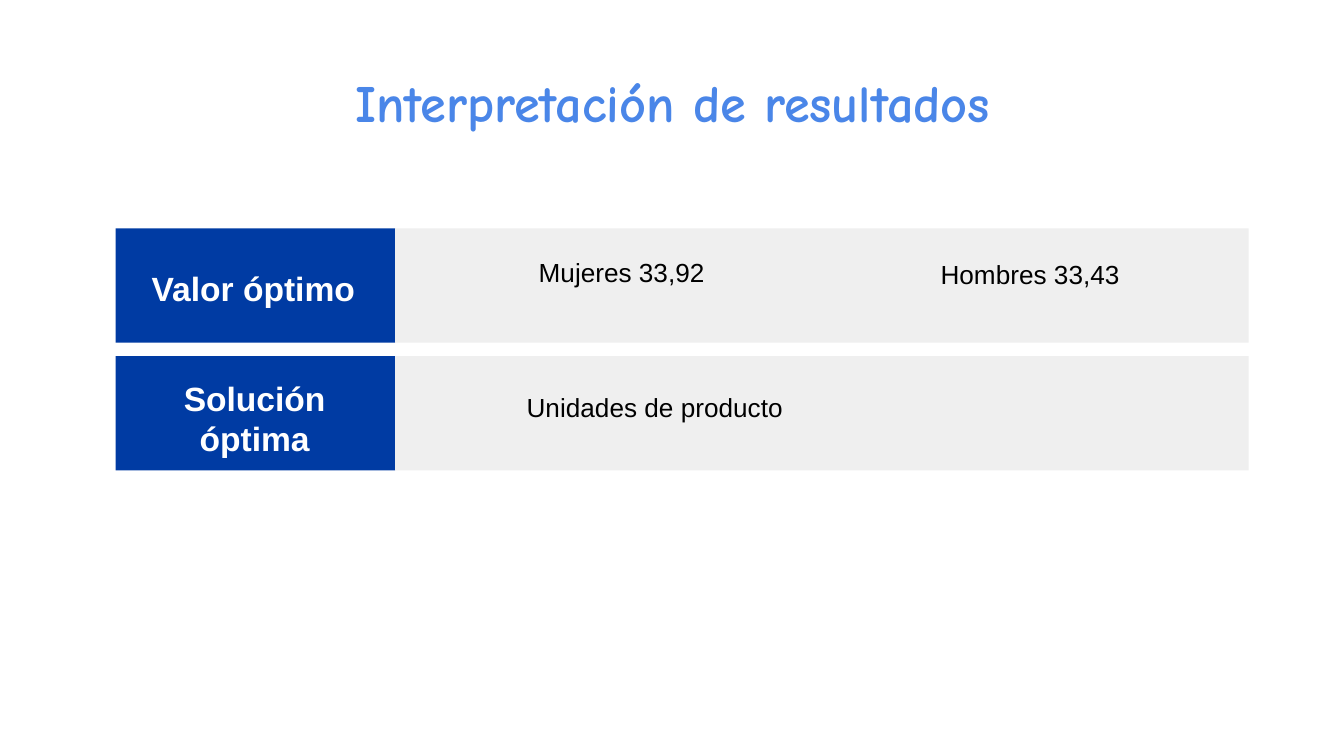
from pptx import Presentation
from pptx.dml.color import RGBColor
from pptx.enum.shapes import MSO_SHAPE
from pptx.enum.text import MSO_ANCHOR, PP_ALIGN
from pptx.util import Inches, Pt

SLIDE_WIDTH = 10
SLIDE_HEIGHT = SLIDE_WIDTH * 9 / 16
BLUE, GRAY, TITLE_BLUE = "003BA3", "EFEFEF", "4A86E8"
WHITE, BLACK = "FFFFFF", "000000"

TITLE = ("Interpretación de resultados", (0.79, 0.42, 8.43, 1.02))
# Each row: its heading, then its values, as (text, (left, top, width, height))
ROWS = [
    {"heading": ("Valor óptimo", (1.03, 1.89, 1.77, 0.47)),
     "heading_align": PP_ALIGN.LEFT,
     "values": [("Mujeres 33,92", (3.91, 1.81, 1.57, 0.6)),
                ("Hombres 33,43", (6.9, 1.82, 1.57, 0.6))]},
    {"heading": ("Solución óptima", (1.15, 2.71, 1.49, 0.6)),
     "heading_align": PP_ALIGN.CENTER,
     "values": [("Unidades de producto", (3.82, 2.81, 2.3, 0.6))]},
]
ROW_LEFT, ROW_TOP, ROW_HEIGHT, ROW_PITCH = 0.86, 1.7, 0.85, 0.95
HEADING_WIDTH, VALUES_WIDTH = 2.08, 6.35


def color(hex_code):
    return RGBColor.from_string(hex_code)


def add_band(slide, left, top, width, fill):
    band = slide.shapes.add_shape(
        MSO_SHAPE.RECTANGLE, Inches(left), Inches(top), Inches(width), Inches(ROW_HEIGHT))
    band.shadow.inherit = False
    band.fill.solid()
    band.fill.fore_color.rgb = color(fill)
    band.line.fill.background()


def add_text(slide, text, place, size=14, font="Arial", ink=BLACK,
             bold=False, align=PP_ALIGN.LEFT, space_after=16):
    frame = slide.shapes.add_textbox(*map(Inches, place)).text_frame
    frame.word_wrap = True
    frame.vertical_anchor = MSO_ANCHOR.TOP
    frame.margin_left = frame.margin_right = Inches(0.1)
    frame.margin_top = frame.margin_bottom = Inches(0.1)
    paragraph = frame.paragraphs[0]
    paragraph.alignment = align
    paragraph.space_after = Pt(space_after)
    run = paragraph.add_run()
    run.text = text
    run.font.size = Pt(size)
    run.font.name = font
    run.font.bold = bold
    run.font.color.rgb = color(ink)


def main():
    deck = Presentation()
    deck.slide_width, deck.slide_height = Inches(SLIDE_WIDTH), Inches(SLIDE_HEIGHT)
    slide = deck.slides.add_slide(deck.slide_layouts[6])

    add_text(slide, *TITLE, size=28, font="Comic Neue", ink=TITLE_BLUE,
             bold=True, align=PP_ALIGN.CENTER, space_after=0)
    for index, row in enumerate(ROWS):
        top = ROW_TOP + index * ROW_PITCH
        add_band(slide, ROW_LEFT, top, HEADING_WIDTH, BLUE)
        add_band(slide, ROW_LEFT + HEADING_WIDTH, top, VALUES_WIDTH, GRAY)
        add_text(slide, *row["heading"], size=18, ink=WHITE, bold=True,
                 align=row["heading_align"])
        for value in row["values"]:
            add_text(slide, *value)

    deck.save("out.pptx")


if __name__ == "__main__":
    main()
